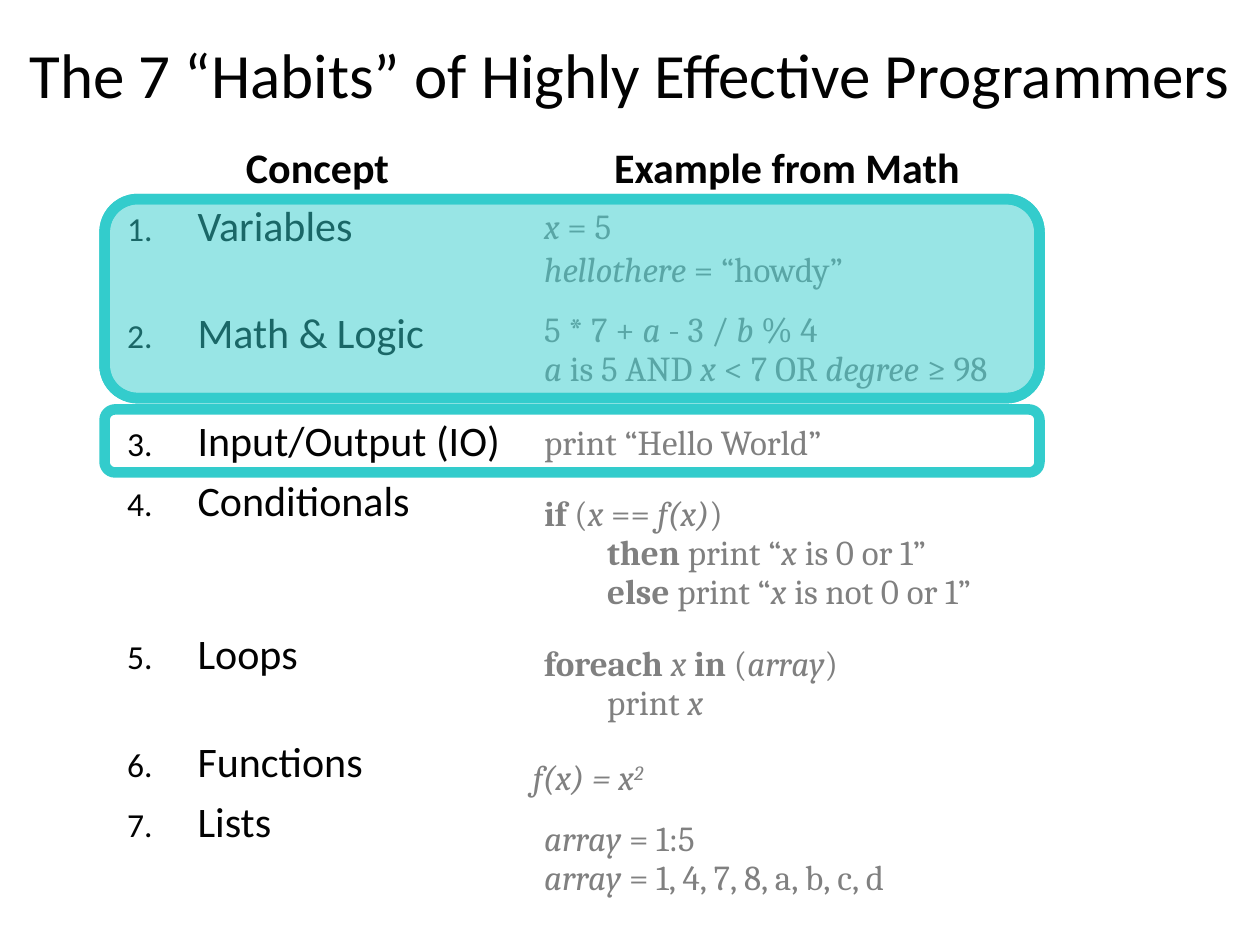
from lxml import etree
from pptx import Presentation
from pptx.dml.color import RGBColor
from pptx.enum import shapes, text
from pptx.oxml import ns
from pptx.util import Inches, Pt

INK = RGBColor(0x02, 0x02, 0x02)
GRAY = RGBColor(0x80, 0x80, 0x80)
TEAL = RGBColor(0x33, 0xCC, 0xCC)

CONCEPTS = [
    ("Variables", 27),
    ("Math & Logic", 27),
    ("Input/Output (IO)", 0),
    ("Conditionals", 53),
    ("Loops", 27),
    ("Functions", 0),
    ("Lists", 0),
]
EXAMPLES = [
    (4.22, 2.42, 0.88, "5 * 7 + _a_ - 3 / _b_ % 4\n_a _is 5 AND _x _< 7 OR _degree_ ≥ 98"),
    (4.22, 3.32, 0.5, "print “Hello World”"),
    (4.22, 3.88, 0.88, "|if| (_x _==_ f(x)_)\n\t|then |print “_x_ is 0 or 1”\n"
                       "\t|else |print “_x _is not 0 or 1”"),
    (4.22, 5.07, 0.88, "|foreach |_x _|in |(_array_)\n\tprint _x_"),
    (4.13, 5.98, 0.48, "_f(x) = x^2^_"),
    (4.22, 6.46, 0.88, "_array _= 1:5\n_array _= 1, 4, 7, 8, a, b, c, d"),
]


def add_child(parent, tag, **attributes):
    """Append a drawing element to its parent and return it."""
    child = etree.SubElement(parent, ns.qn(tag))
    for name, value in attributes.items():
        child.set(name, value)
    return child


def style(run, size, color, font="Calibri", bold=False, italic=False):
    """Set the look of one run."""
    run.font.name, run.font.size = font, Pt(size)
    run.font.bold, run.font.italic = bold, italic
    run.font.color.rgb = color


def add_box(slide, left, top, width, height, anchor=text.MSO_ANCHOR.TOP):
    """Add a wrapping text box and return its text frame."""
    shape = slide.shapes.add_textbox(Inches(left), Inches(top), Inches(width), Inches(height))
    frame = shape.text_frame
    frame.word_wrap = True
    frame.vertical_anchor = anchor
    return frame


def add_title(slide, left, top, width, height):
    """Place and format the title."""
    title = slide.shapes.title
    title.left, title.top = Inches(left), Inches(top)
    title.width, title.height = Inches(width), Inches(height)
    frame = title.text_frame
    frame.text = "The 7 “Habits” of Highly Effective Programmers"
    frame.vertical_anchor = text.MSO_ANCHOR.MIDDLE
    frame.paragraphs[0].alignment = text.PP_ALIGN.CENTER
    style(frame.paragraphs[0].runs[0], 36, INK)


def add_heading(slide, left, top, width, height, words):
    """Add a bold column heading."""
    frame = add_box(slide, left, top, width, height, text.MSO_ANCHOR.BOTTOM)
    frame.text = words
    paragraph = frame.paragraphs[0]
    paragraph.alignment = text.PP_ALIGN.CENTER
    style(paragraph.runs[0], 24, INK, bold=True)


def add_concepts(slide, left, top, width, height):
    """Add the numbered list of concepts."""
    frame = add_box(slide, left, top, width, height)
    frame.text = "\n".join(words for words, gap in CONCEPTS)
    for paragraph, (words, gap) in zip(frame.paragraphs, CONCEPTS):
        paragraph.line_spacing = 0.92
        paragraph.space_before, paragraph.space_after = Pt(8), Pt(gap)
        properties = paragraph._p.get_or_add_pPr()
        properties.set("marL", str(Inches(0.56)))
        properties.set("indent", str(-Inches(0.56)))
        add_child(properties, "a:buSzPct", val="80000")
        add_child(properties, "a:buAutoNum", type="arabicPeriod")
        style(paragraph.runs[0], 24, INK)


def add_example(slide, left, top, width, height, markup, spacing=0.93, before=4):
    """Add one example, where _ marks italic, | bold and ^ superscript."""
    paragraph = add_box(slide, left, top, width, height).paragraphs[0]
    paragraph.line_spacing, paragraph.space_before = spacing, Pt(before)
    tabs = add_child(paragraph._p.get_or_add_pPr(), "a:tabLst")
    add_child(tabs, "a:tab", pos=str(Inches(0.5)), algn="l")
    active = {"_": False, "|": False, "^": False}

    def add_piece(words):
        """Add a run in the active style."""
        run = paragraph.add_run()
        run.text = words
        style(run, 20, GRAY, "Cambria", active["|"], active["_"])
        if active["^"]:
            run.font._element.set("baseline", "30000")

    piece = ""
    for character in markup + "\n":
        if character not in "_|^\n":
            piece += character
            continue
        if piece:
            add_piece(piece)
            piece = ""
        if character in active:
            active[character] = not active[character]
        else:
            paragraph.add_line_break()
    paragraph._p.remove(paragraph._p[-1])


def add_frame(slide, left, top, width, height, tinted=False):
    """Add a rounded teal frame, with a half-clear tint if asked."""
    shape = slide.shapes.add_shape(
        shapes.MSO_SHAPE.ROUNDED_RECTANGLE,
        Inches(left), Inches(top), Inches(width), Inches(height))
    shape.shadow.inherit = False
    shape.line.color.rgb, shape.line.width = TEAL, Pt(6)
    if tinted:
        shape.fill.solid()
        shape.fill.fore_color.rgb = TEAL
        color = shape._element.spPr.find(ns.qn("a:solidFill"))[0]
        add_child(color, "a:alpha", val="50000")
    else:
        shape.fill.background()


def build():
    """Build and save the slide."""
    presentation = Presentation()
    presentation.slide_width, presentation.slide_height = Inches(10), Inches(7.5)
    slide = presentation.slides.add_slide(presentation.slide_layouts[5])
    add_heading(slide, 0.91, 0.87, 3.22, 0.7, "Concept")
    add_concepts(slide, 0.91, 1.57, 3.22, 5.58)
    add_heading(slide, 4.22, 0.87, 4.05, 0.7, "Example from Math")
    add_title(slide, 0, 0.2, 10, 0.76)
    add_example(slide, 4.22, 1.57, 5.78, 0.88, "_x_ = 5\n_hellothere _= “howdy”", 1.02, 7)
    for left, top, height, markup in EXAMPLES:
        add_example(slide, left, top, 5.78, height, markup)
    for top, height, tinted in [(1.58, 1.58, False), (3.25, 0.5, False), (1.58, 1.58, True)]:
        add_frame(slide, 0.83, top, 7.42, height, tinted)
    presentation.save("out.pptx")


build()
